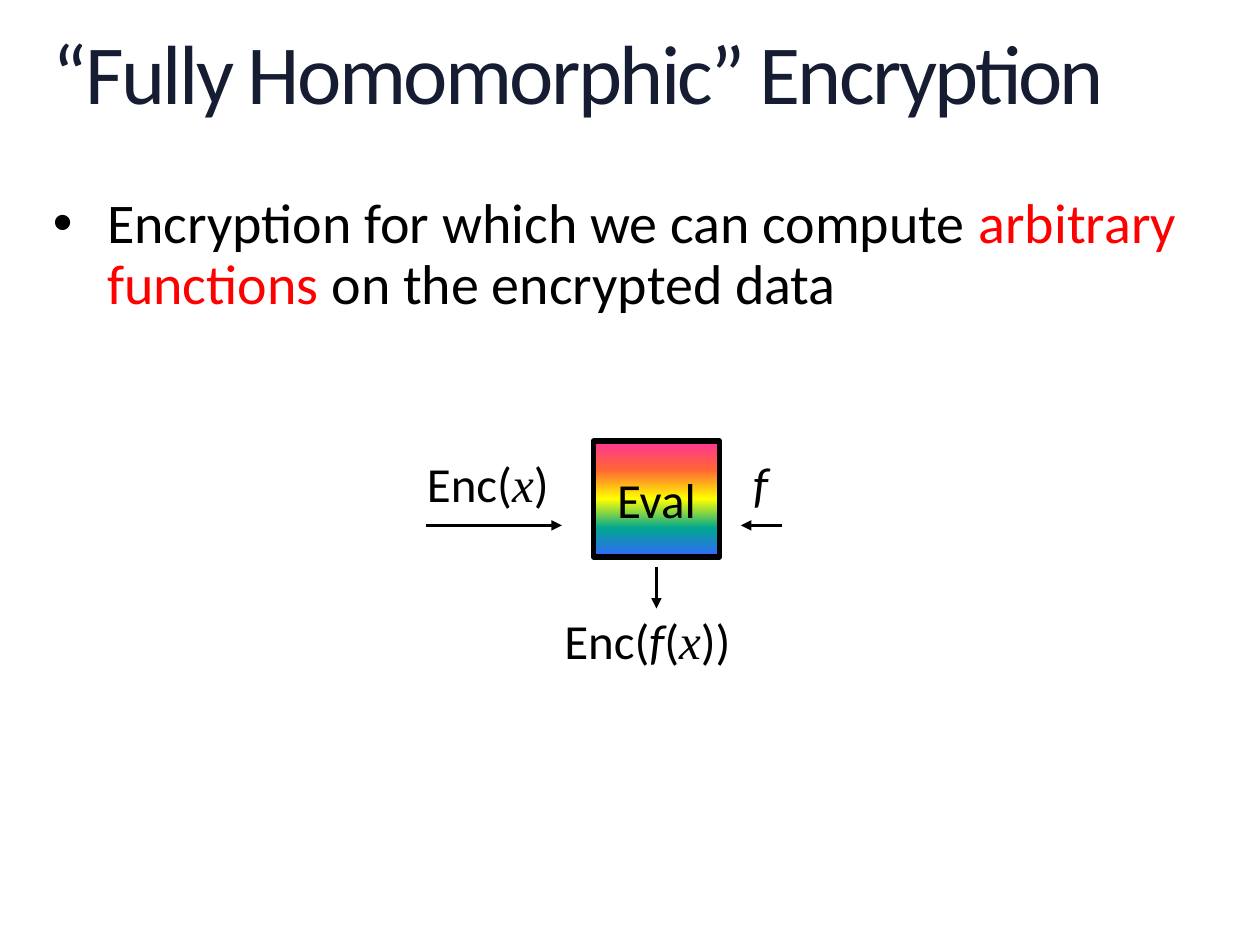
import pptx
import pptx.util
import pptx.dml.color
import pptx.enum.shapes
import pptx.enum.text
import pptx.oxml
import pptx.oxml.ns
import lxml.etree

Inches = pptx.util.Inches
Pt = pptx.util.Pt
qn = pptx.oxml.ns.qn

COLORS = {"title": "161D32", "text": "000000", "accent": "FF0000", "line": "000000"}
RAINBOW = ["FF3399", "FF6633", "FFFF00", "01A78F", "3366FF"]
SANS, SERIF = "Calibri", "Times New Roman"

TITLE = [("“Fully Homomorphic” Encryption", {"color": "title"})]
BODY = [
    ("Encryption for which we can compute ", {}),
    ("arbitrary functions", {"color": "accent"}),
    (" on the encrypted data", {}),
]
F = ("f", {"italic": True})
X = ("x", {"font": SERIF, "italic": True})
LABELS = [
    ((3.29, 3.58, 1.33, 0.5), [("Enc(", {}), X, (")", {})]),
    ((5.88, 3.58, 0.5, 0.5), [F]),
    ((4.38, 4.83, 1.92, 0.5), [("Enc(", {}), F, ("(", {}), X, ("))", {})]),
]
EVAL_BOX = (4.71, 3.5, 1, 0.92)
ARROWS = [
    ((3.38, 4.17), (4.46, 4.17)),
    ((6.21, 4.17), (5.88, 4.17)),
    ((5.21, 4.5), (5.21, 4.83)),
]


def rgb(name):
    return pptx.dml.color.RGBColor.from_string(COLORS[name])


def write(shape, pieces, size, inset=None, anchor=pptx.enum.text.MSO_ANCHOR.MIDDLE):
    frame = shape.text_frame
    frame.word_wrap = True
    frame.vertical_anchor = anchor
    if inset is not None:
        frame.margin_left = frame.margin_right = Inches(inset)
        frame.margin_top = frame.margin_bottom = Inches(inset)
    para = frame.paragraphs[0]
    for text, style in pieces:
        span = para.add_run()
        span.text = text
        span.font.size = Pt(size)
        span.font.name = style.get("font", SANS)
        span.font.italic = style.get("italic", False)
        span.font.color.rgb = rgb(style.get("color", "text"))
    return para


def add_text(page, place, pieces, size, **options):
    box = page.shapes.add_textbox(*map(Inches, place))
    return write(box, pieces, size, **options)


def add_bullet(para, indent):
    properties = para._p.get_or_add_pPr()
    properties.set("marL", str(Inches(indent)))
    properties.set("indent", str(-Inches(indent)))
    lxml.etree.SubElement(properties, qn("a:buFont")).set("typeface", "Arial")
    lxml.etree.SubElement(properties, qn("a:buChar")).set("char", "•")


def fill_rainbow(shape):
    shape.fill.gradient()
    gradient = shape._element.spPr.find(qn("a:gradFill"))
    stops = gradient.find(qn("a:gsLst"))
    for stop in list(stops):
        stops.remove(stop)
    for index, color in enumerate(RAINBOW):
        stop = lxml.etree.SubElement(stops, qn("a:gs"))
        stop.set("pos", str(100000 * index // (len(RAINBOW) - 1)))
        lxml.etree.SubElement(stop, qn("a:srgbClr")).set("val", color)
    gradient.find(qn("a:lin")).set("ang", "5400000")


def add_arrow(page, start, end):
    arrow = page.shapes.add_connector(
        pptx.enum.shapes.MSO_CONNECTOR.STRAIGHT, *map(Inches, start + end))
    arrow.line.color.rgb = rgb("line")
    arrow.line.width = Pt(2)
    lxml.etree.SubElement(arrow.line._get_or_add_ln(), qn("a:tailEnd")).set("type", "triangle")
    lxml.etree.SubElement(arrow._element.spPr, qn("a:effectLst"))


def main():
    deck = pptx.Presentation()
    deck.slide_width, deck.slide_height = Inches(10), Inches(7.5)
    page = deck.slides.add_slide(deck.slide_layouts[6])
    top = pptx.enum.text.MSO_ANCHOR.TOP

    title = add_text(page, (0.42, 0.25, 9.17, 0.73), TITLE, 48, inset=0, anchor=top)
    title.line_spacing = 0.9
    title.runs[0].font._element.set("spc", "-150")

    body = add_text(page, (0.42, 1.55, 9.17, 0.97), BODY, 32, inset=0, anchor=top)
    body.line_spacing = 0.9
    add_bullet(body, 0.43)

    for place, pieces in LABELS:
        add_text(page, place, pieces, 28)

    box = page.shapes.add_shape(
        pptx.enum.shapes.MSO_SHAPE.RECTANGLE, *map(Inches, EVAL_BOX))
    box.shadow.inherit = False
    fill_rainbow(box)
    box.line.color.rgb = rgb("line")
    box.line.width = Pt(3)
    write(box, [("Eval", {})], 28).alignment = pptx.enum.text.PP_ALIGN.CENTER
    box.text_frame.word_wrap = False

    for start, end in ARROWS:
        add_arrow(page, start, end)

    deck.save("out.pptx")


if __name__ == "__main__":
    main()
